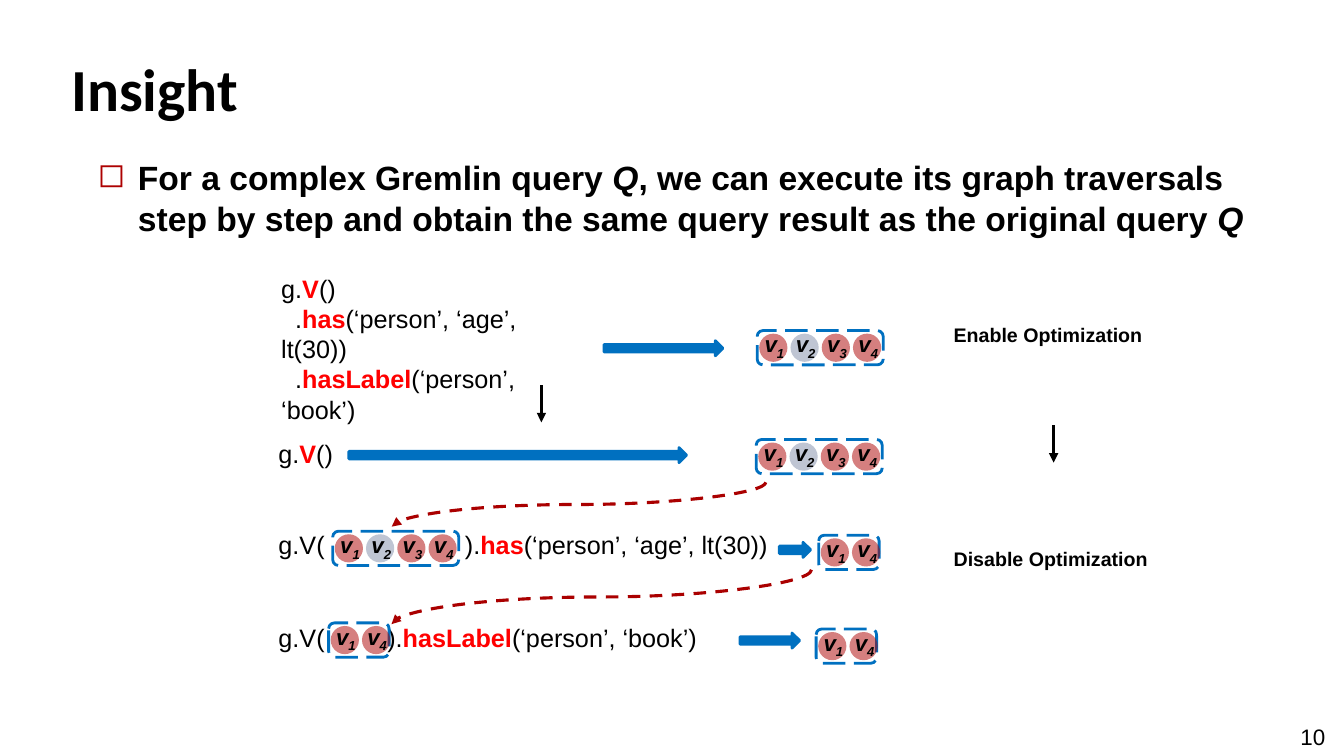
from dataclasses import dataclass

from lxml.etree import SubElement
from pptx import Presentation
from pptx.dml.color import RGBColor
from pptx.enum.dml import MSO_LINE
from pptx.enum.shapes import MSO_CONNECTOR, MSO_SHAPE
from pptx.enum.text import MSO_ANCHOR
from pptx.oxml.ns import qn
from pptx.util import Inches, Pt

WIDE, HIGH = Inches(13.33), Inches(7.5)
COLS, ROWS = 1333, 750


@dataclass(frozen=True)
class Theme:
    ink: str = "000000"
    step: str = "FF0000"
    blue: str = "0070C0"
    flow: str = "AA0000"
    rose: str = "AD0101"
    slate: str = "808DA9"
    body: str = "Arial"
    head: str = "Calibri"
    title: float = 42.6
    lead: int = 24
    code: int = 18
    node: int = 16
    note: int = 14
    edge: int = 2
    link: float = 2.25


@dataclass(frozen=True)
class Box:
    col: float
    row: float
    cols: float
    rows: float

    def emu(self) -> tuple[int, int, int, int]:
        return across(self.col), down(self.row), across(self.cols), down(self.rows)


@dataclass(frozen=True)
class Run:
    text: str
    bold: bool = False
    slant: bool = False
    color: str = "000000"
    base: int = 0


@dataclass(frozen=True)
class Group:
    col: float
    row: float
    nodes: str


@dataclass(frozen=True)
class Query:
    box: Box
    runs: list[Run]
    tab: float = 0


@dataclass(frozen=True)
class Link:
    box: Box
    kind: MSO_CONNECTOR
    color: str
    dash: bool = False


LOOK = Theme()


def across(cols: float) -> int:
    return round(WIDE * cols / COLS)


def down(rows: float) -> int:
    return round(HIGH * rows / ROWS)


def step(name: str) -> Run:
    return Run(name, bold=True, color=LOOK.step)


def write(shape, *lines: list[Run], size: float, font: str = LOOK.body, bullet: str = "",
          tab: float = 0, space: float = 0, anchor=MSO_ANCHOR.TOP):
    frame = shape.text_frame
    frame.word_wrap = True
    frame.vertical_anchor = anchor
    for spot, runs in enumerate(lines):
        para = frame.add_paragraph() if spot else frame.paragraphs[0]
        props = para._p.get_or_add_pPr()
        props.set("algn", "l")
        if space:
            para.line_spacing = Pt(space)
        if bullet:
            props.set("marL", str(across(40)))
            props.set("indent", str(-across(40)))
            SubElement(SubElement(props, qn("a:buClr")), qn("a:srgbClr"), val=LOOK.rose)
            SubElement(props, qn("a:buChar"), char=bullet)
        if tab:
            stops = SubElement(props, qn("a:tabLst"))
            SubElement(stops, qn("a:tab"), pos=str(across(tab)), algn="l")
        for part in runs:
            run = para.add_run()
            run.text = part.text
            run.font.name = font
            run.font.size = Pt(size)
            run.font.bold = part.bold
            run.font.italic = part.slant
            run.font.color.rgb = RGBColor.from_string(part.color)
            if part.base:
                run._r.get_or_add_rPr().set("baseline", str(part.base * 1000))
    return shape


def label(slide, box: Box, *lines: list[Run], **style):
    return write(slide.shapes.add_textbox(*box.emu()), *lines, **style)


def shape(slide, kind: MSO_SHAPE, box: Box, fill: str = "", line: str = "", alpha: int = 100):
    item = slide.shapes.add_shape(kind, *box.emu())
    item.shadow.inherit = False
    if fill:
        item.fill.solid()
        item.fill.fore_color.rgb = RGBColor.from_string(fill)
        if alpha < 100:
            tint = item.fill._xPr.find(".//" + qn("a:srgbClr"))
            SubElement(tint, qn("a:alpha"), val=str(alpha * 1000))
    else:
        item.fill.background()
    if line:
        item.line.color.rgb = RGBColor.from_string(line)
        item.line.width = Pt(LOOK.edge)
    else:
        item.line.fill.background()
    return item


def cluster(slide, group: Group) -> None:
    count = len(group.nodes)
    frame = shape(slide, MSO_SHAPE.ROUNDED_RECTANGLE,
                  Box(group.col, group.row, 31 * count + (1 if count > 2 else -2), 34),
                  line=LOOK.blue)
    frame.line.dash_style = MSO_LINE.LONG_DASH
    for spot, node in enumerate(group.nodes):
        col = group.col + 2 + 31 * spot
        shape(slide, MSO_SHAPE.FLOWCHART_CONNECTOR, Box(col, group.row + 3, 28, 28),
              fill=LOOK.slate if node == "2" else LOOK.rose, alpha=50)
        label(slide, Box(col - 4.5, group.row - 5, 46, 37),
              [Run("v", True, True), Run(node, True, True, base=-25)], size=LOOK.node)


def connect(slide, link: Link) -> None:
    left, top, wide, high = link.box.emu()
    line = slide.shapes.add_connector(link.kind, left, top, left + wide, top + high)
    line.line.color.rgb = RGBColor.from_string(link.color)
    line.line.width = Pt(LOOK.link)
    if link.dash:
        line.line.dash_style = MSO_LINE.DASH
    props = line._element.spPr
    if link.kind == MSO_CONNECTOR.CURVE:
        props.find(qn("a:xfrm")).set("rot", "5400000")
    SubElement(props.find(qn("a:ln")), qn("a:tailEnd"), type="triangle")
    SubElement(props, qn("a:effectLst"))


START = [Run("g."), step("V"), Run("()")]
AGE = [step("has"), Run("(‘person’, ‘age’, lt(30))")]
KIND = [step("hasLabel"), Run("(‘person’, ‘book’)")]
QUERIES = [
    Query(Box(264, 428, 89, 45), START),
    Query(Box(264, 518, 520, 49), [Run("g.V(\t).")] + AGE, 185),
    Query(Box(264, 610, 464, 49), [Run("g.V(\t).")] + KIND, 108),
]
ARROWS = [Box(346, 444, 335, 15), Box(773, 538, 31, 15),
          Box(734, 628, 59, 15), Box(599, 338, 118, 15)]
LINKS = [
    Link(Box(552, 315, 44, 371), MSO_CONNECTOR.CURVE, LOOK.flow, True),
    Link(Box(569.5, 384, 54, 416.5), MSO_CONNECTOR.CURVE, LOOK.flow, True),
    Link(Box(537, 382, 0, 37), MSO_CONNECTOR.STRAIGHT, LOOK.ink),
    Link(Box(1045, 422, 0, 37), MSO_CONNECTOR.STRAIGHT, LOOK.ink),
]
GROUPS = [Group(751, 328, "1234"), Group(330, 527, "1234"), Group(750, 436, "1234"),
          Group(812, 531, "14"), Group(326, 618, "14"), Group(809.5, 624, "14")]
NOTES = [("Enable Optimization", 315), ("Disable Optimization", 538)]


def main() -> None:
    deck = Presentation()
    deck.slide_width, deck.slide_height = WIDE, HIGH
    slide = deck.slides.add_slide(deck.slide_layouts[6])
    label(slide, Box(1280, 713, 48, 37), [Run("10")], size=LOOK.node)
    label(slide, Box(61, 34, 1184, 93), [Run("Insight", True)], size=LOOK.title,
          font=LOOK.head, space=46.6, anchor=MSO_ANCHOR.BOTTOM)
    label(slide, Box(87, 151, 1165, 91),
          [Run("For a complex Gremlin query ", True), Run("Q", True, True),
           Run(", we can execute its graph traversals step by step and obtain "
               "the same query result as the original query ", True),
           Run("Q", True, True)], size=LOOK.lead, bullet="◻")
    for query in QUERIES:
        write(shape(slide, MSO_SHAPE.ROUNDED_RECTANGLE, query.box), query.runs,
              size=LOOK.code, tab=query.tab)
    label(slide, Box(269, 266, 325, 98), START, [Run("  .")] + AGE, [Run("  .")] + KIND,
          size=LOOK.code)
    for arrow in ARROWS:
        shape(slide, MSO_SHAPE.RIGHT_ARROW, arrow, fill=LOOK.blue, line=LOOK.blue)
    for link in LINKS:
        connect(slide, link)
    for text, row in NOTES:
        label(slide, Box(936, row, 214, 34), [Run(text, True)], size=LOOK.note)
    for group in GROUPS:
        cluster(slide, group)
    deck.save("out.pptx")


if __name__ == "__main__":
    main()
